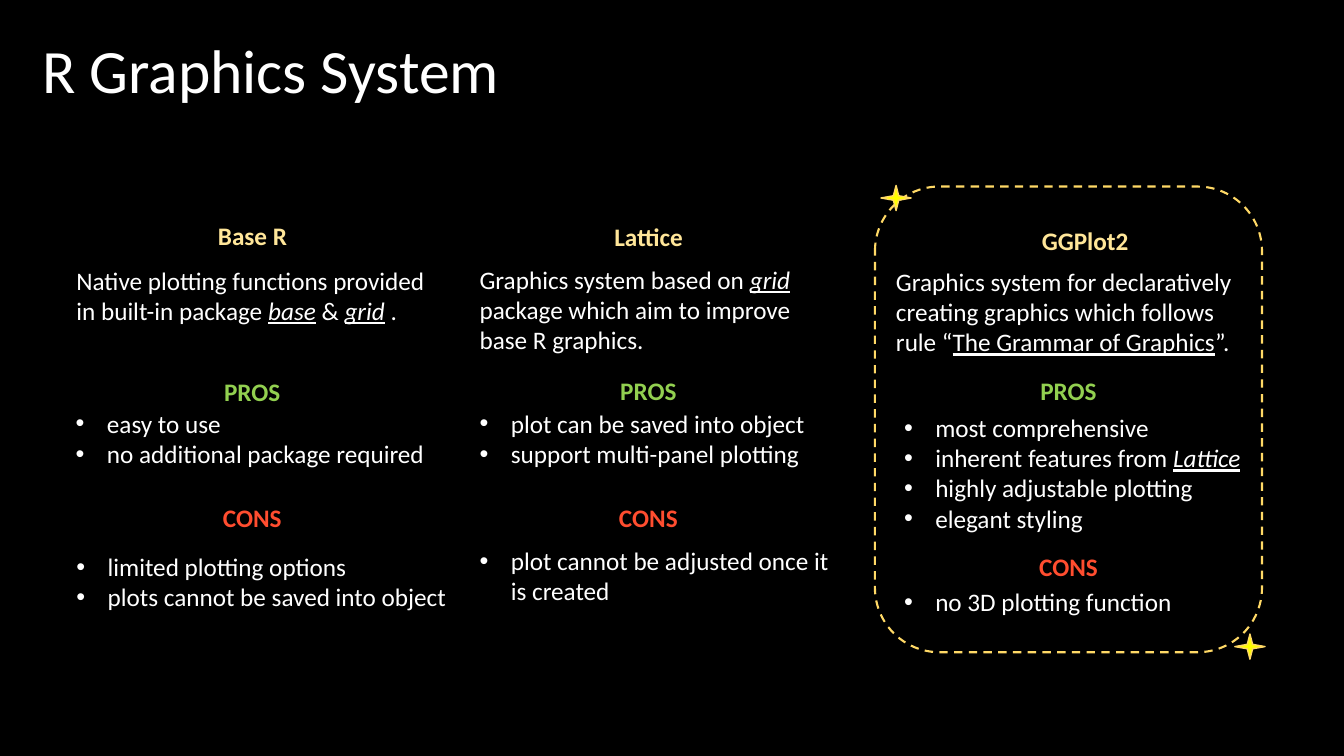
"""Build the R Graphics System slide comparing three plotting systems."""
from lxml import etree
from pptx import Presentation
from pptx.dml.color import RGBColor
from pptx.enum.dml import MSO_LINE
from pptx.enum.shapes import MSO_SHAPE
from pptx.enum.text import MSO_ANCHOR, PP_ALIGN
from pptx.oxml.ns import qn
from pptx.util import Inches, Pt

ROUND, STAR = MSO_SHAPE.ROUNDED_RECTANGLE, MSO_SHAPE.STAR_4_POINT
DASH, MIDDLE = MSO_LINE.DASH, MSO_ANCHOR.MIDDLE
LEFT, CENTER = PP_ALIGN.LEFT, PP_ALIGN.CENTER
FONT = "Calibri"
COLORS = {"back": "000000", "text": "FFFFFF", "head": "FFE699", "pros": "92D050",
          "cons": "FF4D2F", "gold": "FFD966", "star": "FFFF00"}
RGB = {name: RGBColor.from_string(code) for name, code in COLORS.items()}

deck = Presentation()
deck.slide_width, deck.slide_height = Inches(13.333), Inches(7.5)
COL, ROW = deck.slide_width / 100, deck.slide_height / 100
INDENT = Inches(0.31)
slide = deck.slides.add_slide(deck.slide_layouts[6])
slide.background.fill.solid()
slide.background.fill.fore_color.rgb = RGB["back"]


def add_text(x, y, wide, paras, tone="text", size=18, bold=False, align=LEFT,
             bullet=False, lines=1):
    """Place paragraphs of (text, style) runs; style i is italic, u underlined."""
    high = 1.33 + 4 * lines
    box = slide.shapes.add_textbox(int(x * COL), int(y * ROW), int(wide * COL), int(high * ROW))
    frame = box.text_frame
    frame.word_wrap = True
    for num, runs in enumerate(paras):
        para = frame.add_paragraph() if num else frame.paragraphs[0]
        para.alignment = align
        if bullet:
            props = para._p.get_or_add_pPr()
            props.set("marL", str(INDENT))
            props.set("indent", str(-INDENT))
            etree.SubElement(props, qn("a:buFont")).set("typeface", "Arial")
            etree.SubElement(props, qn("a:buChar")).set("char", "•")
        for text, style in runs:
            run = para.add_run()
            run.text = text
            font = run.font
            font.name, font.size, font.bold = FONT, Pt(size), bold
            font.italic, font.underline = "i" in style, "u" in style
            font.color.rgb = RGB[tone]
    return frame


def add_mark(kind, x, y, wide, high, width):
    """Place a gold-outlined shape without shadow."""
    mark = slide.shapes.add_shape(kind, int(x * COL), int(y * ROW), int(wide * COL), int(high * ROW))
    mark.shadow.inherit = False
    mark.line.color.rgb = RGB["gold"]
    mark.line.width = Pt(width)
    return mark


title = add_text(2.4, 0.13, 86.25, [[("R Graphics System", "")]], size=44, lines=4.5)
title.vertical_anchor = MIDDLE
title.paragraphs[0].line_spacing = 0.9

frame = add_mark(ROUND, 65.1, 24.67, 28.8, 61.6, 1.5)
frame.fill.background()
frame.line.dash_style = DASH

systems = [
    {"name": ("Base R", 18.79, 28.53), "mid": 18.77,
     "intro": (4.95, 34.4, 2, [("Native plotting functions provided in built-in package ", ""),
                               ("base", "iu"), (" & ", ""), ("grid", "iu"), (" .", "")]),
     "pros": (49.07, 4.9, 53.33, 27.75, 2,
              [[("easy to use", "")], [("no additional package required", "")]]),
     "cons": (65.73, 4.95, 72.27, 29.85, 2,
              [[("limited plotting options", "")], [("plots cannot be saved into object", "")]])},
    {"name": ("Lattice", 48.26, 28.67), "mid": 48.24,
     "intro": (34.95, 34.27, 3, [("Graphics system based on ", ""), ("grid", "iu"),
                                 (" package which aim to improve base R graphics.", "")]),
     "pros": (48.93, 34.95, 53.33, 27.75, 2,
              [[("plot can be saved into object", "")], [("support multi-panel plotting", "")]]),
     "cons": (65.73, 34.95, 71.47, 27.75, 2,
              [[("plot cannot be adjusted once it is created", "")]])},
    {"name": ("GGPlot2", 80.74, 29.2), "mid": 79.5,
     "intro": (65.93, 34.53, 3,
               [("Graphics system for declaratively creating graphics which follows rule “", ""),
                ("The Grammar of Graphics", "u"), ("”.", "")]),
     "pros": (48.93, 66.53, 53.87, 27.75, 4,
              [[("most comprehensive", "")], [("inherent features from ", ""), ("Lattice", "iu")],
               [("highly adjustable plotting", "")], [("elegant styling", "")]]),
     "cons": (72.27, 66.53, 76.93, 27.75, 1, [[("no 3D plotting function", "")]])},
]
for system in systems:
    name, mid, y = system["name"]
    add_text(mid - 8.14, y, 16.28, [[(name, "")]], "head", bold=True, align=CENTER)
    x, y, lines, runs = system["intro"]
    add_text(x, y, 27.75, [runs], lines=lines)
    for part, wide in (("pros", 9.15), ("cons", 9.83)):
        top, x, y, span, lines, items = system[part]
        add_text(system["mid"] - wide / 2, top, wide, [[(part.upper(), "")]], part,
                 bold=True, align=CENTER)
        add_text(x, y, span, items, bullet=True, lines=lines)

for x, y in ((65.55, 24.53), (91.88, 83.87)):
    star = add_mark(STAR, x, y, 2.25, 3.33, 1)
    star.fill.solid()
    star.fill.fore_color.rgb = RGB["star"]

deck.save("out.pptx")
